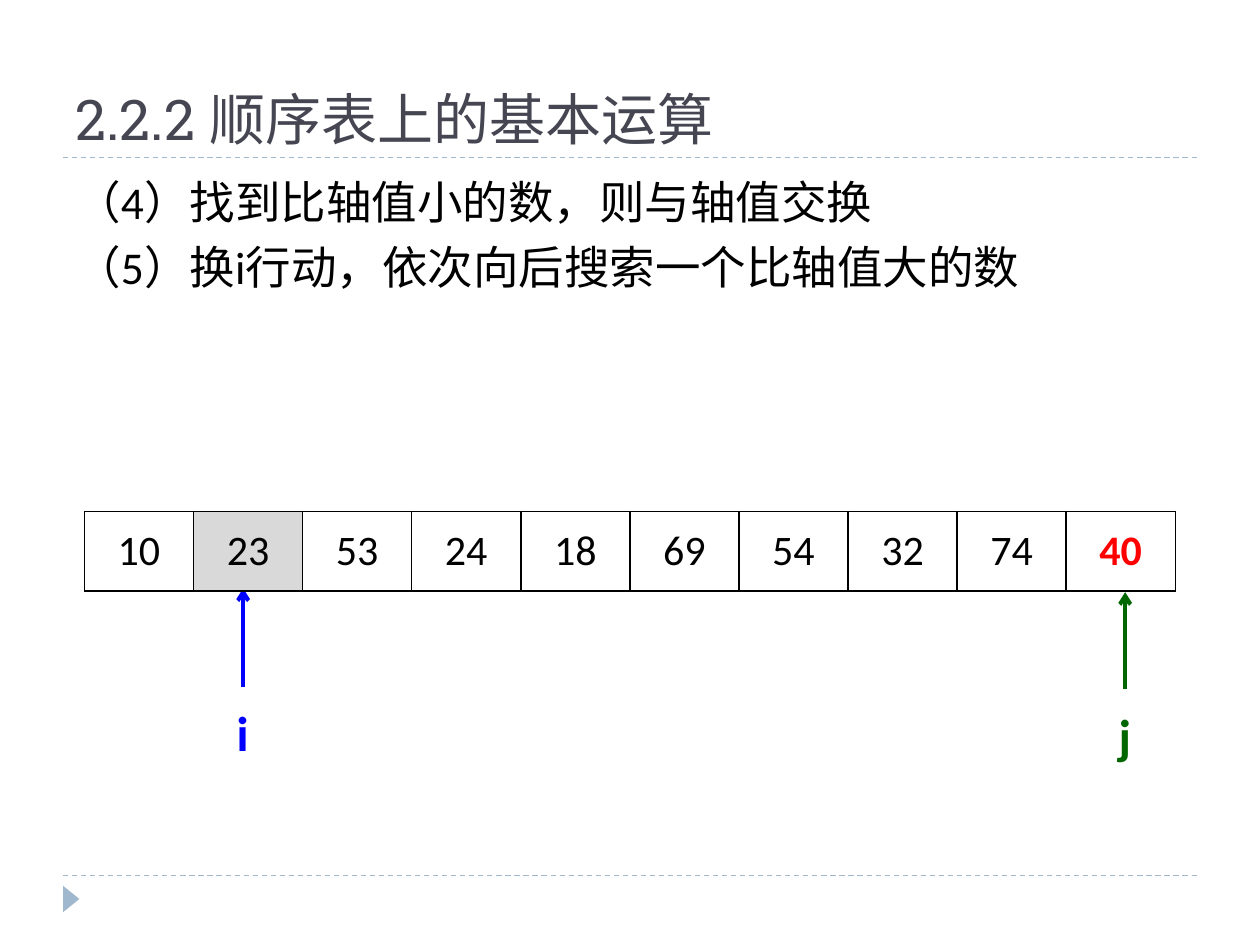
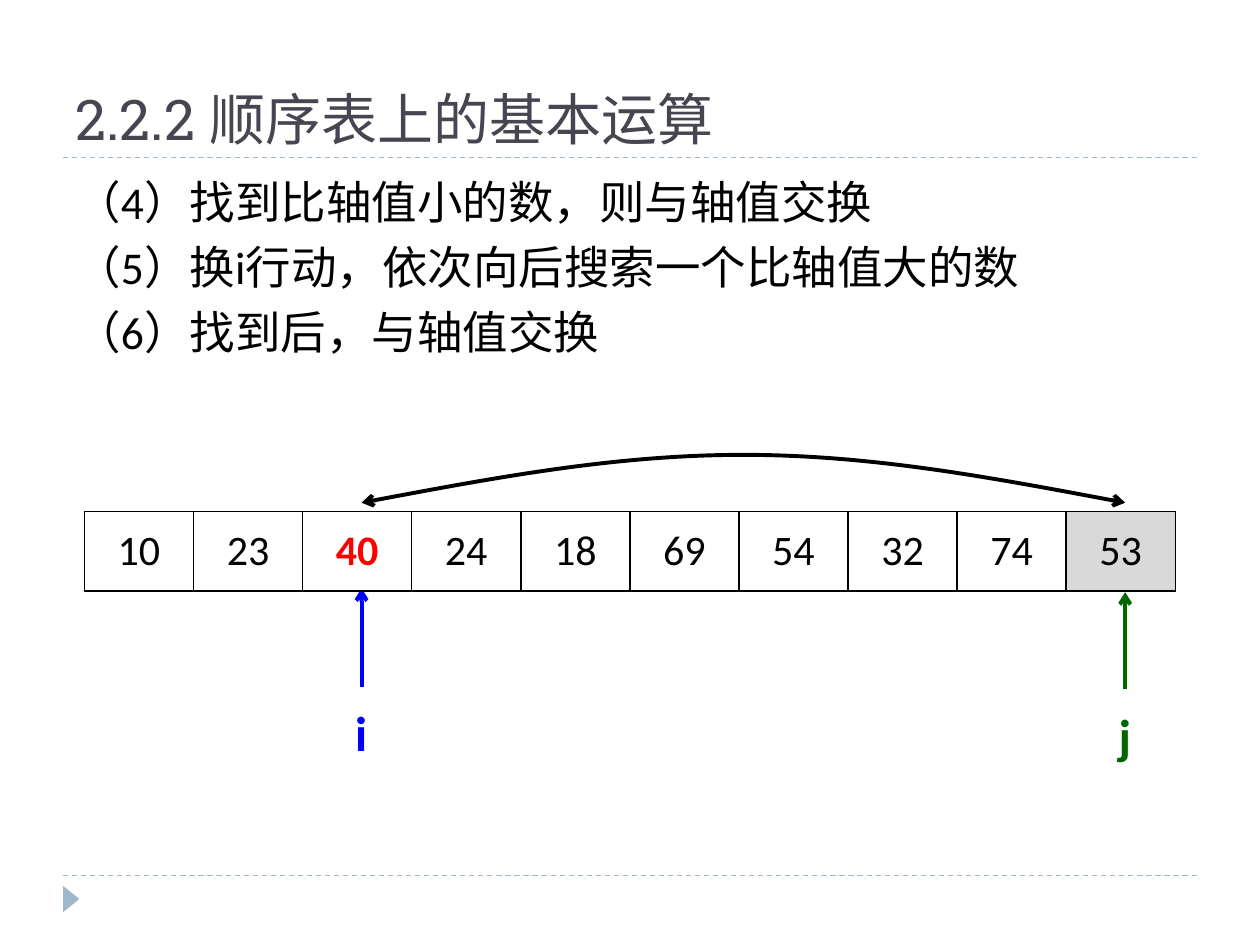
from pptx import Presentation
from pptx.dml.color import RGBColor
from pptx.enum.dml import MSO_LINE
from pptx.enum.shapes import MSO_CONNECTOR, MSO_SHAPE
from pptx.enum.text import MSO_ANCHOR, MSO_AUTO_SIZE, PP_ALIGN
from pptx.oxml.ns import qn
from pptx.util import Emu, Pt
from lxml.etree import SubElement

TITLE = "2.2.2 顺序表上的基本运算"
STEPS = [
    "（4）找到比轴值小的数，则与轴值交换",
    "（5）换i行动，依次向后搜索一个比轴值大的数",
    "（6）找到后，与轴值交换",
]
PIVOT = 40
SLIDES = [
    {"steps": STEPS[:2], "values": [10, 23, 53, 24, 18, 69, 54, 32, 74, 40],
     "shaded": 1, "i": 193, "swap": False},
    {"steps": STEPS, "values": [10, 23, 40, 24, 18, 69, 54, 32, 74, 53],
     "shaded": 9, "i": 287, "swap": True},
]

BLACK, WHITE, RED, SHADE = "000000", "FFFFFF", "FF0000", "D9D9D9"
TITLE_COLOR, ACCENT, BLUE, GREEN = "464653", "9FB8CD", "0000FF", "006600"
TITLE_FONT, BODY_FONT = "Roboto Slab", "Calibri"
J_X = 893
RULES = [695, 125]
TABLE = (67, 406, 866, 63)
CURVE_TOP, CURVE_BOTTOM = 361, 399


def px(length):
    return Emu(length * 9144)


def color(value):
    return RGBColor.from_string(value)


def set_font(paragraph, name, size, value, bold=False):
    font = paragraph.font
    font.name, font.size, font.bold = name, Pt(size), bold
    font.color.rgb = color(value)


def add_text(slide, box, lines, name, size, value, bold=False, anchor=MSO_ANCHOR.TOP, wrap=True):
    frame = slide.shapes.add_textbox(*map(px, box)).text_frame
    frame.word_wrap = wrap
    frame.vertical_anchor = anchor
    if not wrap:
        frame.auto_size = MSO_AUTO_SIZE.SHAPE_TO_FIT_TEXT
    for index, line in enumerate(lines):
        paragraph = frame.add_paragraph() if index else frame.paragraphs[0]
        paragraph.text = line
        paragraph.space_before = Pt(6 if index else 0)
        set_font(paragraph, name, size, value, bold)


def style_line(shape, value, width, ends=()):
    shape.line.color.rgb = color(value)
    shape.line.width = Pt(width)
    for end in ends:
        SubElement(shape.line._get_or_add_ln(), qn(f"a:{end}"), type="arrow")


def add_line(slide, start, finish, value, width, dash=None, ends=()):
    line = slide.shapes.add_connector(MSO_CONNECTOR.STRAIGHT, *map(px, start + finish))
    style_line(line, value, width, ends)
    if dash:
        line.line.dash_style = dash
    SubElement(line._element.spPr, qn("a:effectLst"))


def add_frame(slide):
    for y in RULES:
        add_line(slide, (50, y), (950, y), ACCENT, 0.75, MSO_LINE.DASH)
    marker = slide.shapes.add_shape(MSO_SHAPE.ISOSCELES_TRIANGLE, *map(px, (46, 707, 21, 13)))
    marker.rotation = 90
    marker.shadow.inherit = False
    marker.fill.solid()
    marker.fill.fore_color.rgb = color(ACCENT)
    marker.line.fill.background()
    add_text(slide, (50, 17, 900, 108), [TITLE], TITLE_FONT, 32, TITLE_COLOR,
             anchor=MSO_ANCHOR.BOTTOM)


def add_pointer(slide, label, x, top, bottom, value):
    add_line(slide, (x, bottom), (x, top), value, 2.25, ends=["tailEnd"])
    add_text(slide, (x - 15, bottom + 8, 30, 57), [label], BODY_FONT, 28, value,
             bold=True, wrap=False)


def add_borders(cell):
    properties = cell._tc.get_or_add_tcPr()
    for index, side in enumerate(("lnL", "lnR", "lnT", "lnB")):
        border = properties.makeelement(qn(f"a:{side}"), {"w": str(Pt(1))})
        properties.insert(index, border)
        fill = SubElement(border, qn("a:solidFill"))
        SubElement(fill, qn("a:srgbClr"), val=BLACK)


def add_array(slide, values, shaded):
    table = slide.shapes.add_table(1, len(values), *map(px, TABLE)).table
    table.first_row = table.horz_banding = False
    for index, value in enumerate(values):
        table.columns[index].width = px(TABLE[2]) // len(values)
        cell = table.cell(0, index)
        cell.text = str(value)
        cell.vertical_anchor = MSO_ANCHOR.MIDDLE
        cell.fill.solid()
        cell.fill.fore_color.rgb = color(SHADE if index == shaded else WHITE)
        paragraph = cell.text_frame.paragraphs[0]
        paragraph.alignment = PP_ALIGN.CENTER
        pivot = value == PIVOT
        set_font(paragraph, BODY_FONT, 24, RED if pivot else BLACK, pivot)
        add_borders(cell)


def add_swap_curve(slide, left, right):
    sixth = (right - left) / 6
    heights = [CURVE_BOTTOM, 380, CURVE_TOP, CURVE_TOP, CURVE_TOP, 380, CURVE_BOTTOM]
    points = [(round(left + step * sixth), y) for step, y in enumerate(heights)]
    builder = slide.shapes.build_freeform(*points[0], scale=px(1))
    builder.add_line_segments(points[1:], close=False)
    curve = builder.convert_to_shape()
    segments = list(curve._element.iter(qn("a:lnTo")))
    outline = segments[0].getparent()
    for start in range(0, len(segments), 3):
        bezier = SubElement(outline, qn("a:cubicBezTo"))
        for segment in segments[start:start + 3]:
            bezier.append(segment[0])
            outline.remove(segment)
    curve.shadow.inherit = False
    curve.fill.background()
    style_line(curve, BLACK, 2.25, ["headEnd", "tailEnd"])


def main():
    presentation = Presentation()
    presentation.slide_width, presentation.slide_height = px(1000), px(750)
    for content in SLIDES:
        slide = presentation.slides.add_slide(presentation.slide_layouts[6])
        add_frame(slide)
        add_text(slide, (50, 133, 900, 540), content["steps"], BODY_FONT, 26, BLACK)
        add_pointer(slide, "i", content["i"], 467, 545, BLUE)
        add_pointer(slide, "j", J_X, 470, 547, GREEN)
        add_array(slide, content["values"], content["shaded"])
        if content["swap"]:
            add_swap_curve(slide, content["i"], J_X)
    presentation.save("out.pptx")


if __name__ == "__main__":
    main()
